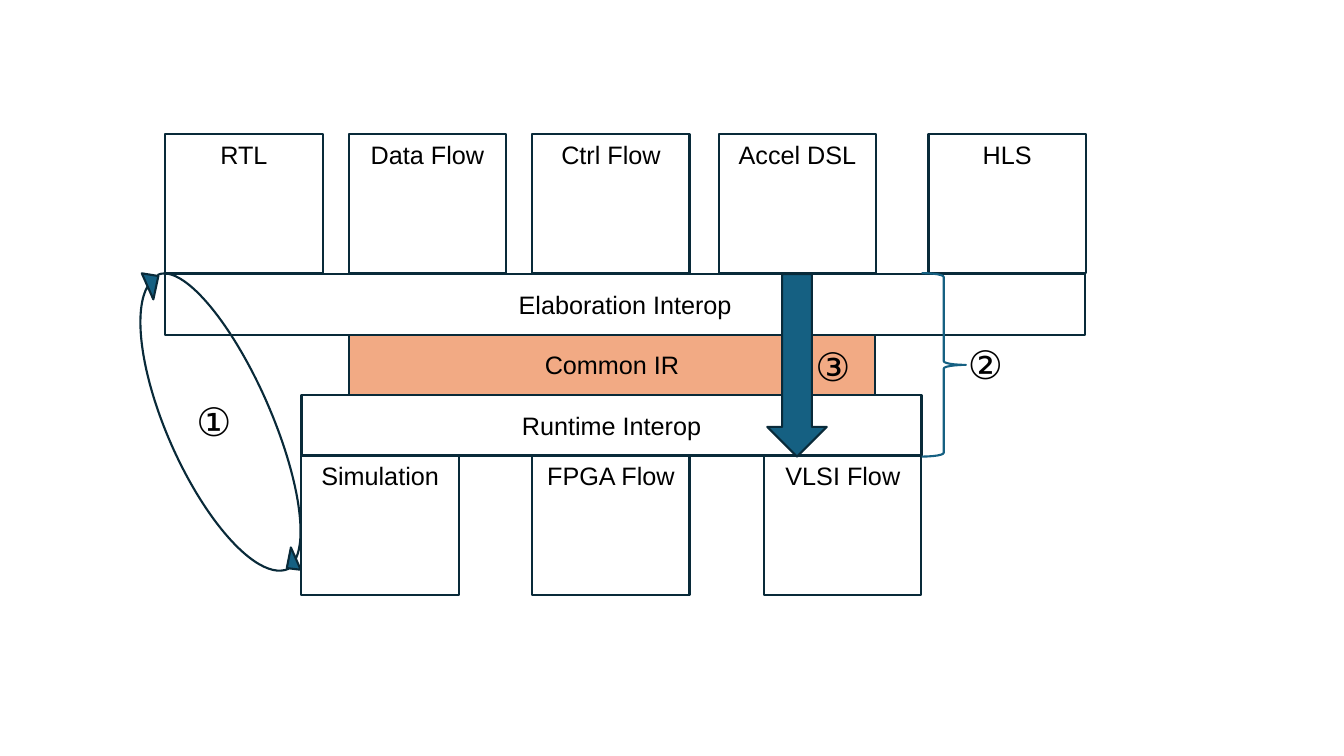
from pptx import Presentation
from pptx import util as u
from pptx.dml.color import RGBColor
from pptx.enum import shapes, text

BLACK = RGBColor(0x00, 0x00, 0x00)
NAVY = RGBColor(0x09, 0x2A, 0x39)
TEAL = RGBColor(0x15, 0x60, 0x82)
ORANGE = RGBColor(0xF2, 0xAA, 0x84)

BOX_WIDTH, BOX_HEIGHT = 1.56, 1.38
FRONTEND_TOP, BACKEND_TOP = 1.33, 4.52
FRONTENDS = [("RTL", 1.64), ("Data Flow", 3.46), ("Ctrl Flow", 5.28),
             ("Accel DSL", 7.13), ("HLS", 9.21)]
BACKENDS = [("Simulation", 2.99), ("FPGA Flow", 5.28), ("VLSI Flow", 7.58)]
LAYERS = [("Elaboration Interop", 1.64, 9.12, None),
          ("Common IR", 3.46, 5.22, ORANGE),
          ("Runtime Interop", 2.99, 6.15, None)]
LAYER_TOP, LAYER_HEIGHT = 2.72, 0.6


def add_outline(page, kind, bounds, fill=None, line=NAVY):
    shape = page.shapes.add_shape(kind, *map(u.Inches, bounds))
    shape.shadow.inherit = False
    if fill is None:
        shape.fill.background()
    else:
        shape.fill.solid()
        shape.fill.fore_color.rgb = fill
    shape.line.color.rgb = line
    shape.line.width = u.Pt(1.5)
    return shape


def write(shape, words, size, align, anchor):
    frame = shape.text_frame
    frame.word_wrap = True
    frame.vertical_anchor = anchor
    frame.text = words
    para = frame.paragraphs[0]
    para.alignment = align
    font = para.runs[0].font
    font.name = "Arial"
    font.size = u.Pt(size)
    font.color.rgb = BLACK


def add_block(page, words, bounds, anchor, fill=None):
    box = add_outline(page, shapes.MSO_SHAPE.RECTANGLE, bounds, fill)
    write(box, words, 18, text.PP_ALIGN.CENTER, anchor)


def add_marker(page, symbol, left, top, width=0.54):
    box = page.shapes.add_textbox(*map(u.Inches, (left, top, width, 0.57)))
    write(box, symbol, 28, text.PP_ALIGN.LEFT, text.MSO_ANCHOR.TOP)
    box.text_frame.auto_size = text.MSO_AUTO_SIZE.SHAPE_TO_FIT_TEXT


def add_curved_arrow(page, bounds, rotation):
    arrow = add_outline(page, shapes.MSO_SHAPE.CURVED_LEFT_ARROW, bounds, TEAL)
    arrow.rotation = rotation
    for index, value in enumerate((0, 0.505, 0.25)):
        arrow.adjustments[index] = value


def main():
    deck = Presentation()
    deck.slide_width = u.Inches(13.33)
    deck.slide_height = u.Inches(7.5)
    page = deck.slides.add_slide(deck.slide_layouts[6])

    for row, top in ((BACKENDS, BACKEND_TOP), (FRONTENDS, FRONTEND_TOP)):
        for words, left in row:
            add_block(page, words, (left, top, BOX_WIDTH, BOX_HEIGHT),
                      text.MSO_ANCHOR.TOP)
    for index, (words, left, width, fill) in enumerate(LAYERS):
        top = LAYER_TOP + index * LAYER_HEIGHT
        add_block(page, words, (left, top, width, LAYER_HEIGHT),
                  text.MSO_ANCHOR.MIDDLE, fill)

    add_curved_arrow(page, (2.21, 2.49, 0.48, 3.3), 336.3)
    add_curved_arrow(page, (1.65, 2.58, 0.56, 3.32), 156.1)
    add_marker(page, "①", 1.85, 3.89)
    add_marker(page, "②", 9.5, 3.33, 0.61)
    add_outline(page, shapes.MSO_SHAPE.DOWN_ARROW,
                (7.61, LAYER_TOP, 0.59, 1.81), TEAL)
    add_marker(page, "③", 7.99, 3.35)
    add_outline(page, shapes.MSO_SHAPE.RIGHT_BRACE,
                (9.14, 2.71, 0.44, 1.82), line=TEAL)

    deck.save("out.pptx")


if __name__ == "__main__":
    main()
